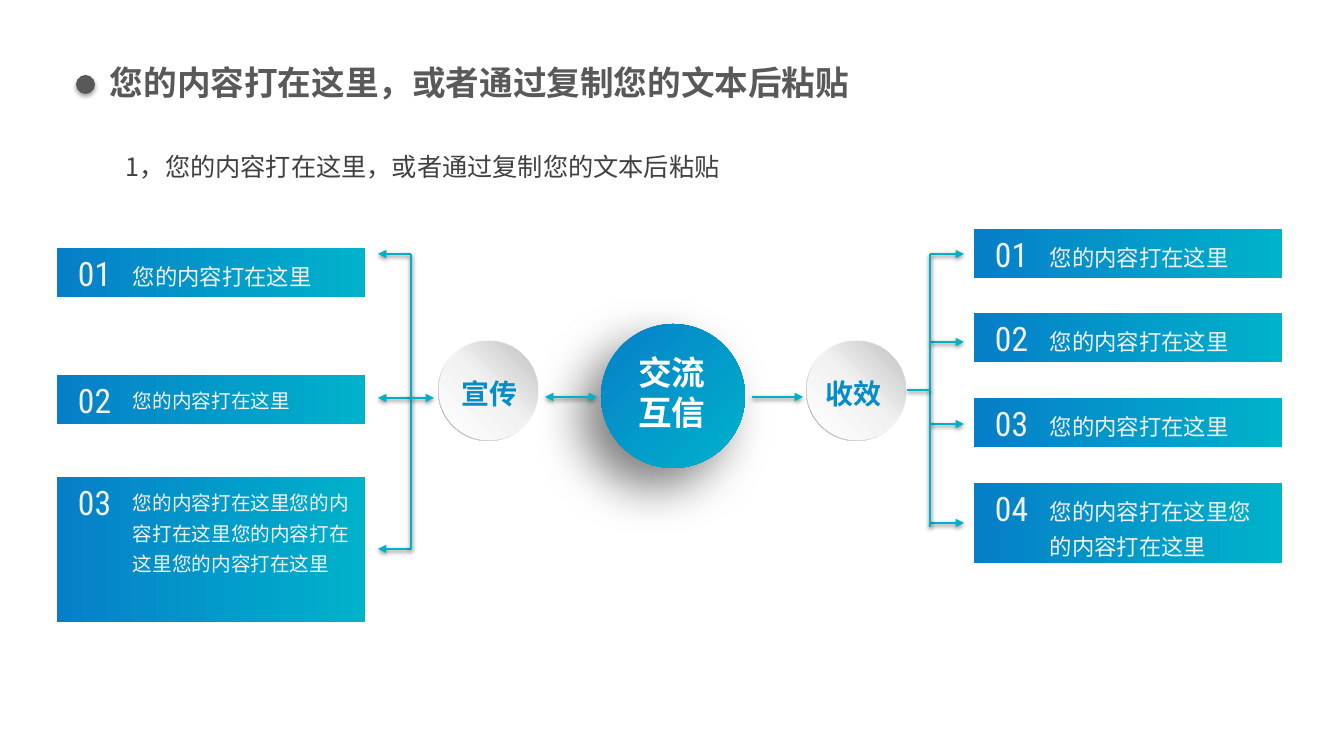
from lxml import etree
from pptx import Presentation, util as u
from pptx.dml.color import RGBColor
from pptx.enum import shapes, text
from pptx.oxml.ns import qn

SCALE = 914400 / 100.8
COLORS = {
    "title": "595959", "body": "404040", "pale": "F2F2F2", "white": "FFFFFF",
    "blue": "067FC9", "teal": "00B2CA", "label": "068DC9", "line": "00B0CA",
    "silver": "BFBFBF", "grey": "A6A6A6", "shadow": "000000",
}
SANS, NUMERAL, GEOMETRIC = "Noto Sans CJK SC", "Roboto Condensed", "TeX Gyre Adventor"
OCEAN = [(0, "blue"), (100, "teal")]
RIM = [(0, "white"), (55, "pale"), (100, "grey")]
PEARL = [(0, "white"), (51, "pale"), (100, "silver")]
LINE_SHADOW = (38, 3.1, 1.6, 90)

deck = Presentation()
deck.slide_width, deck.slide_height = (round(n * SCALE) for n in (1344, 756))
slide = deck.slides.add_slide(deck.slide_layouts[6])
shadows = []


def add_figure(kind, box, stops, angle=0):
    figure = slide.shapes.add_shape(kind, *(round(n * SCALE) for n in box))
    figure.shadow.inherit = False
    figure.line.fill.background()
    if len(stops) == 1:
        figure.fill.solid()
        figure.fill.fore_color.rgb = RGBColor.from_string(COLORS[stops[0][1]])
        return figure
    figure.fill.gradient()
    figure.fill.gradient_angle = (360 - angle) % 360
    stop_list = figure._element.spPr.find(".//" + qn("a:gsLst"))
    stop_list.clear()
    for position, color in stops:
        stop = etree.SubElement(stop_list, qn("a:gs"), pos=str(position * 1000))
        etree.SubElement(stop, qn("a:srgbClr"), val=COLORS[color])
    return figure


def add_words(words, box, size, color, font=SANS, bold=False, centred=False, spacing=None, inset=True):
    frame = slide.shapes.add_textbox(*(round(n * SCALE) for n in box)).text_frame
    frame.word_wrap = True
    frame.auto_size = text.MSO_AUTO_SIZE.SHAPE_TO_FIT_TEXT
    if not inset:
        for side in ("left", "top", "right", "bottom"):
            setattr(frame, f"margin_{side}", 0)
    frame.text = words
    for paragraph in frame.paragraphs:
        paragraph.alignment = text.PP_ALIGN.CENTER if centred else text.PP_ALIGN.LEFT
        if spacing:
            paragraph.line_spacing = spacing
        for run in paragraph.runs:
            for key, value in {"size": u.Pt(size), "bold": bold, "name": font}.items():
                setattr(run.font, key, value)
            run.font.color.rgb = RGBColor.from_string(COLORS[color])
            etree.SubElement(run._r.get_or_add_rPr(), qn("a:ea"), typeface=font)


hub = add_figure(shapes.MSO_SHAPE.OVAL, (601, 324, 144, 144), OCEAN, 45)
shadows.append((hub, (50, 35, 20, 135)))
add_words("交流\n互信", (599, 352, 146, 82), 24, "white", bold=True, centred=True, inset=False)

PHRASE = "您的内容打在这里"
cards = [
    (57, 248, 49, "01", PHRASE, 16),
    (57, 375, 49, "02", PHRASE, 14),
    (57, 477, 145, "03", PHRASE * 4, 14),
]
for index in range(4):
    last = index == 3
    cards.append((974, 229 + 254 * index // 3, 80 if last else 49,
                  f"{index + 1:02}", PHRASE * (2 if last else 1), 16))
for left, top, height, number, caption, size in cards:
    add_figure(shapes.MSO_SHAPE.RECTANGLE, (left, top, 308, height), OCEAN)
    add_words(number, (left - 8, top, 91, 50), 24, "pale", font=NUMERAL, centred=True)
    add_words(caption, (left + 66, top + 2, 243, 42), size, "pale", spacing=1.3)

for left, label_left, label, font in [(438, 447, "宣传", GEOMETRIC), (806, 811, "收效", SANS)]:
    ring = add_figure(shapes.MSO_SHAPE.DONUT, (left, 340, 101, 101), RIM, 135)
    ring.adjustments[0] = 0.05
    add_figure(shapes.MSO_SHAPE.OVAL, (left + 1, 341, 99, 99), PEARL, 315)
    add_words(label, (label_left, 366, 85, 39), 20, "label", font=font, bold=True,
              centred=True, spacing=1.3, inset=False)

links = [
    (545, 397, 597, 397, ("headEnd", "tailEnd")),
    (752, 397, 803, 397, ("tailEnd",)),
    *[(930, y, 964, y, ("tailEnd",)) for y in (254, 342, 424, 523)],
    (930, 254, 930, 527, ()),
    (907, 390, 930, 390, ()),
    *[(411, y, 378, y, ("tailEnd",)) for y in (254, 398, 549)],
    (411, 254, 411, 549, ()),
    (434, 398, 411, 398, ("headEnd",)),
]
for *ends, arrows in links:
    link = slide.shapes.add_connector(shapes.MSO_CONNECTOR.STRAIGHT, *(round(n * SCALE) for n in ends))
    link.line.width = u.Pt(2)
    link.line.color.rgb = RGBColor.from_string(COLORS["line"])
    for arrow in arrows:
        etree.SubElement(link.line._get_or_add_ln(), qn(f"a:{arrow}"), type="triangle")
    etree.SubElement(link._element.spPr, qn("a:effectLst"))
    shadows.append((link, LINE_SHADOW))

add_words("1，您的内容打在这里，或者通过复制您的文本后粘贴", (116, 149, 629, 38), 18, "body", spacing=u.Pt(19.8))
add_words("您的内容打在这里，或者通过复制您的文本后粘贴", (100, 57, 898, 50), 24, "title", bold=True)
bullet = add_figure(shapes.MSO_SHAPE.OVAL, (76, 75, 19, 19), [(0, "title")])
shadows.append((bullet, (35, 3.1, 1.8, 90)))

for caster, (opacity, blur, distance, direction) in shadows:
    effects = caster._element.spPr.find(qn("a:effectLst"))
    shadow = etree.SubElement(effects, qn("a:outerShdw"), blurRad=str(u.Pt(blur)), dist=str(u.Pt(distance)),
                              dir=str(direction * 60000), algn="ctr", rotWithShape="0")
    tint = etree.SubElement(shadow, qn("a:srgbClr"), val=COLORS["shadow"])
    etree.SubElement(tint, qn("a:alpha"), val=str(opacity * 1000))

deck.save("out.pptx")
